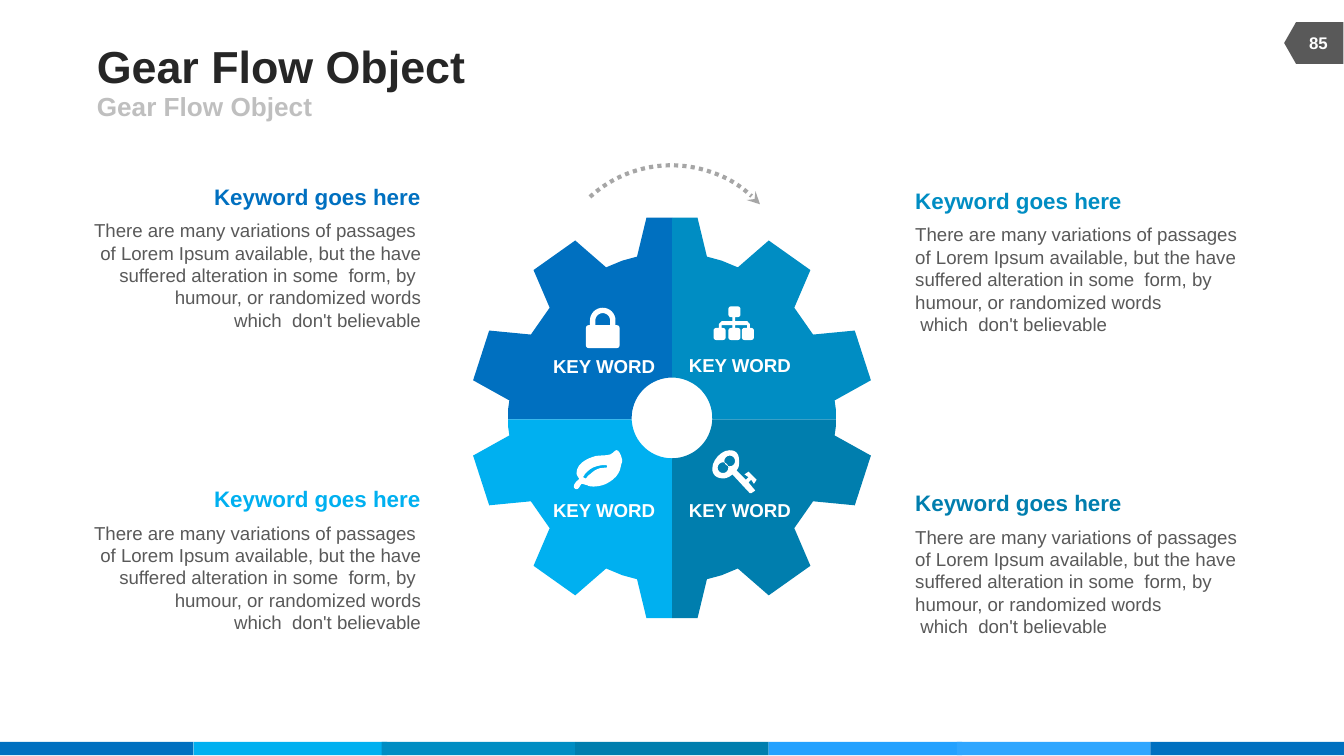
"""Build a slide with a four-part gear, its key words and four explanations."""
from dataclasses import dataclass
from math import cos, radians, sin

from lxml import etree
from pptx import Presentation
from pptx import util as u
from pptx.dml.color import RGBColor
from pptx.enum import dml, shapes, text
from pptx.oxml.ns import qn


@dataclass(frozen=True)
class Theme:
    font: str = "Arial"
    ink: str = "262626"
    muted: str = "BFBFBF"
    gray: str = "595959"
    arrow: str = "A6A6A6"
    white: str = "FFFFFF"
    blue: str = "0070C0"
    sky: str = "00B0F0"
    teal: str = "008DC3"
    deep: str = "007EAE"
    bright: str = "23A1FF"
    light: str = "2FA6FF"
    title: int = 24
    subtitle: int = 14
    heading: int = 12
    body: int = 10
    number: int = 9


THEME = Theme()
WIDTH = 10
HEIGHT = WIDTH * 9 / 16
TITLE = SUBTITLE = "Gear Flow Object"
PAGE_NUMBER = "85"
FOOTER = [(0, THEME.blue), (1.44, THEME.sky), (2.84, THEME.teal), (4.28, THEME.deep),
          (5.72, THEME.bright), (7.12, THEME.light), (8.56, THEME.blue)]
KEY_WORD = "KEY WORD"
HEADING = "Keyword goes here"
EXPLANATION = [
    "There are many variations of passages ",
    "of Lorem Ipsum available, but the have suffered alteration in some  form, by "
    "\vhumour, or randomized words\v which  don't believable",
]
QUADRANTS = [
    dict(side=-1, rise=-1, color=THEME.blue, heading_top=1.36, label_top=2.64),
    dict(side=-1, rise=1, color=THEME.sky, heading_top=3.61, label_top=3.71),
    dict(side=1, rise=1, color=THEME.deep, heading_top=3.64, label_top=3.71),
    dict(side=1, rise=-1, color=THEME.teal, heading_top=1.39, label_top=2.63),
]
CENTER_X, CENTER_Y, SPLIT_Y, HUB = 5, 3.11, 3.12, 0.3
TEETH = [(0, 1.49), (0.19, 1.49), (0.26, 1.2), (0.37, 1.17), (0.49, 1.12),
         (0.72, 1.32), (1.03, 1.1), (0.91, 0.82), (0.98, 0.72), (1.05, 0.62),
         (1.36, 0.65), (1.48, 0.28), (1.21, 0.13), (1.22, 0.06)]
TREE_LINES = [(5.45, 2.36), (5.47, 2.36), (5.47, 2.39), (5.56, 2.39), (5.58, 2.41),
              (5.58, 2.44), (5.56, 2.44), (5.56, 2.42), (5.47, 2.42), (5.47, 2.44),
              (5.45, 2.44), (5.45, 2.42), (5.37, 2.42), (5.37, 2.44), (5.35, 2.44),
              (5.35, 2.41), (5.37, 2.39), (5.45, 2.39)]
LEAF_EDGE = [(4.62, 3.47), (4.61, 3.53), (4.57, 3.57), (4.51, 3.6),
             (4.49, 3.61), (4.45, 3.62), (4.42, 3.62), (4.41, 3.62), (4.38, 3.62),
             (4.37, 3.61), (4.36, 3.61), (4.34, 3.6), (4.33, 3.6), (4.32, 3.6),
             (4.31, 3.64), (4.29, 3.64), (4.28, 3.64), (4.27, 3.63), (4.27, 3.62),
             (4.27, 3.59), (4.31, 3.57), (4.31, 3.56), (4.3, 3.55), (4.29, 3.53),
             (4.29, 3.52), (4.29, 3.46), (4.35, 3.42), (4.41, 3.4), (4.45, 3.38),
             (4.53, 3.4), (4.56, 3.37), (4.57, 3.36), (4.58, 3.35), (4.59, 3.35),
             (4.61, 3.35), (4.63, 3.41), (4.63, 3.43), (4.63, 3.44), (4.62, 3.46),
             (4.62, 3.47)]
LEAF_VEIN = [(4.51, 3.46), (4.44, 3.46), (4.39, 3.48), (4.35, 3.53),
             (4.35, 3.54), (4.34, 3.54), (4.34, 3.55), (4.34, 3.55), (4.35, 3.56),
             (4.36, 3.56), (4.37, 3.55), (4.38, 3.53), (4.39, 3.53), (4.43, 3.49),
             (4.46, 3.48), (4.51, 3.48), (4.52, 3.48), (4.52, 3.46), (4.51, 3.46)]
KEY_BOW = [(5.45, 3.53), (5.43, 3.55), (5.4, 3.56), (5.38, 3.56),
           (5.33, 3.56), (5.3, 3.53), (5.3, 3.49), (5.3, 3.42), (5.37, 3.35),
           (5.43, 3.35), (5.48, 3.35), (5.5, 3.38), (5.5, 3.43), (5.5, 3.46),
           (5.5, 3.48), (5.48, 3.5)]
KEY_SHAFT = [(5.55, 3.57), (5.57, 3.55), (5.54, 3.53), (5.57, 3.51), (5.63, 3.57),
             (5.61, 3.6), (5.59, 3.57), (5.57, 3.59), (5.62, 3.65), (5.59, 3.67),
             (5.58, 3.67)]


def size(inches):
    return u.Cm(inches * 2.54)


def rgb(color):
    return RGBColor.from_string(color)


def arc(x, y, radius, start, end, steps=16):
    angles = [radians(start + (end - start) * i / steps) for i in range(steps + 1)]
    return [(x + radius * cos(a), y - radius * sin(a)) for a in angles]


def rounded(x, y, width, height, r=0.02):
    corners = [(x + width - r, y + r, 0), (x + r, y + r, 90),
               (x + r, y + height - r, 180), (x + width - r, y + height - r, 270)]
    return [point for cx, cy, turn in corners
            for point in arc(cx, cy, r, turn, turn + 90, 4)]


def smooth(points, steps=6):
    result = [points[0]]
    for i in range(0, len(points) - 1, 3):
        for t in (step / steps for step in range(1, steps + 1)):
            weights = [(1 - t) ** 3, 3 * t * (1 - t) ** 2, 3 * t * t * (1 - t), t ** 3]
            result.append(tuple(sum(w * p[axis] for w, p in zip(weights, points[i:i + 4]))
                                for axis in (0, 1)))
    return result


def paint(shape, color):
    shape.shadow.inherit = False
    shape.fill.solid()
    shape.fill.fore_color.rgb = rgb(color)
    shape.line.fill.background()


def add_outline(page, contours, color):
    scaled = [[(size(x), size(y)) for x, y in contour] for contour in contours]
    builder = page.shapes.build_freeform(*scaled[0][0])
    for i, contour in enumerate(scaled):
        if i:
            builder.move_to(*contour[0])
        builder.add_line_segments(contour[1:], close=True)
    paint(builder.convert_to_shape(), color)


def place(shape, box):
    shape.left, shape.top, shape.width, shape.height = map(size, box)


def write(shape, lines, points, color, bold=True, align=text.PP_ALIGN.LEFT,
          anchor=text.MSO_ANCHOR.MIDDLE, wrap=False):
    frame = shape.text_frame
    frame.text = "\n".join(lines)
    frame.word_wrap = wrap
    frame.auto_size = text.MSO_AUTO_SIZE.NONE
    frame.vertical_anchor = anchor
    frame.margin_left = frame.margin_right = frame.margin_top = frame.margin_bottom = 0
    for para in frame.paragraphs:
        para.alignment = align
        para.space_before = u.Pt(0)
        properties = para._p.get_or_add_pPr()
        properties.set("marL", "0")
        properties.set("indent", "0")
        etree.SubElement(properties, qn("a:buNone"))
        para.font.name, para.font.size = THEME.font, u.Pt(points)
        para.font.bold, para.font.color.rgb = bold, rgb(color)


def add_text(page, box, *args, **options):
    write(page.shapes.add_textbox(*map(size, box)), *args, **options)


def add_frame(page):
    for left, color in FOOTER:
        bar = page.shapes.add_shape(shapes.MSO_SHAPE.RECTANGLE,
                                    *map(size, (left, 5.52, 1.44, 0.1)))
        paint(bar, color)
    tag = page.shapes.add_shape(shapes.MSO_SHAPE.FLOWCHART_OFFPAGE_CONNECTOR,
                                *map(size, (9.62, 0.1, 0.31, 0.44)))
    tag.rotation = 90
    paint(tag, THEME.gray)
    add_text(page, (9.6, 0.17, 0.42, 0.3), [PAGE_NUMBER], THEME.number, THEME.white,
             align=text.PP_ALIGN.CENTER)
    title, body = page.shapes.title, page.placeholders[1]
    place(title, (0.72, 0.29, 6.17, 0.39))
    write(title, [TITLE], THEME.title, THEME.ink)
    place(body, (0.72, 0.68, 4.5, 0.22))
    write(body, [SUBTITLE], THEME.subtitle, THEME.muted)


def add_turn_arrow(page):
    turn = page.shapes.add_shape(shapes.MSO_SHAPE.ARC, *map(size, (4.1, 1.23, 1.79, 1.79)))
    turn.rotation = 317.5
    turn.shadow.inherit = False
    turn.fill.background()
    turn.line.color.rgb = rgb(THEME.arrow)
    turn.line.width = u.Pt(2.25)
    turn.line.dash_style = dml.MSO_LINE.ROUND_DOT
    etree.SubElement(turn.line._get_or_add_ln(), qn("a:tailEnd"), type="stealth")


def add_quadrant(page, side, rise, color, heading_top, label_top):
    rim = [(CENTER_X + side * x, CENTER_Y + rise * y) for x, y in TEETH]
    hub = [(CENTER_X + side * (x - CENTER_X), CENTER_Y - rise * (y - CENTER_Y))
           for x, y in arc(CENTER_X, CENTER_Y, HUB, 5, 90)]
    seam = [(CENTER_X + side * 1.22, SPLIT_Y), (CENTER_X + side * HUB, SPLIT_Y)]
    add_outline(page, [rim + seam + hub], color)
    add_text(page, (4.11 if side < 0 else 5.12, label_top, 0.77, 0.17), [KEY_WORD],
             THEME.body, THEME.white, align=text.PP_ALIGN.CENTER)
    align = text.PP_ALIGN.RIGHT if side < 0 else text.PP_ALIGN.LEFT
    for lines, width, height, drop, points, ink, bold in [
            (EXPLANATION, 2.49, 0.84, 0.27, THEME.body, THEME.gray, False),
            ([HEADING], 1.55, 0.2, 0, THEME.heading, color, True)]:
        left = 3.13 - width if side < 0 else 6.81
        add_text(page, (left, heading_top + drop, width, height), lines, points, ink,
                 bold=bold, align=align, anchor=text.MSO_ANCHOR.TOP, wrap=not bold)


def add_icons(page):
    shackle = arc(4.485, 2.385, 0.095, 180, 0) + [(4.58, 2.42), (4.54, 2.42)]
    shackle += arc(4.485, 2.385, 0.055, 0, 180) + [(4.43, 2.42), (4.39, 2.42)]
    nodes = [rounded(x, y, 0.09, 0.09 if y > 2.4 else 0.08)
             for x, y in [(5.42, 2.28), (5.31, 2.44), (5.42, 2.44), (5.52, 2.44)]]
    holes = [arc(x, y, 0.04, 0, 360) for x, y in [(5.43, 3.43), (5.38, 3.48)]]
    for contours in [[rounded(4.36, 2.42, 0.25, 0.17), shackle],
                     [smooth(LEAF_EDGE), smooth(LEAF_VEIN)],
                     nodes + [TREE_LINES],
                     [smooth(KEY_BOW) + KEY_SHAFT] + holes]:
        add_outline(page, contours, THEME.white)


def main():
    deck = Presentation()
    deck.slide_width, deck.slide_height = size(WIDTH), size(HEIGHT)
    page = deck.slides.add_slide(deck.slide_layouts[1])
    add_frame(page)
    add_turn_arrow(page)
    for quadrant in QUADRANTS:
        add_quadrant(page, **quadrant)
    add_icons(page)
    deck.save("out.pptx")


if __name__ == "__main__":
    main()
